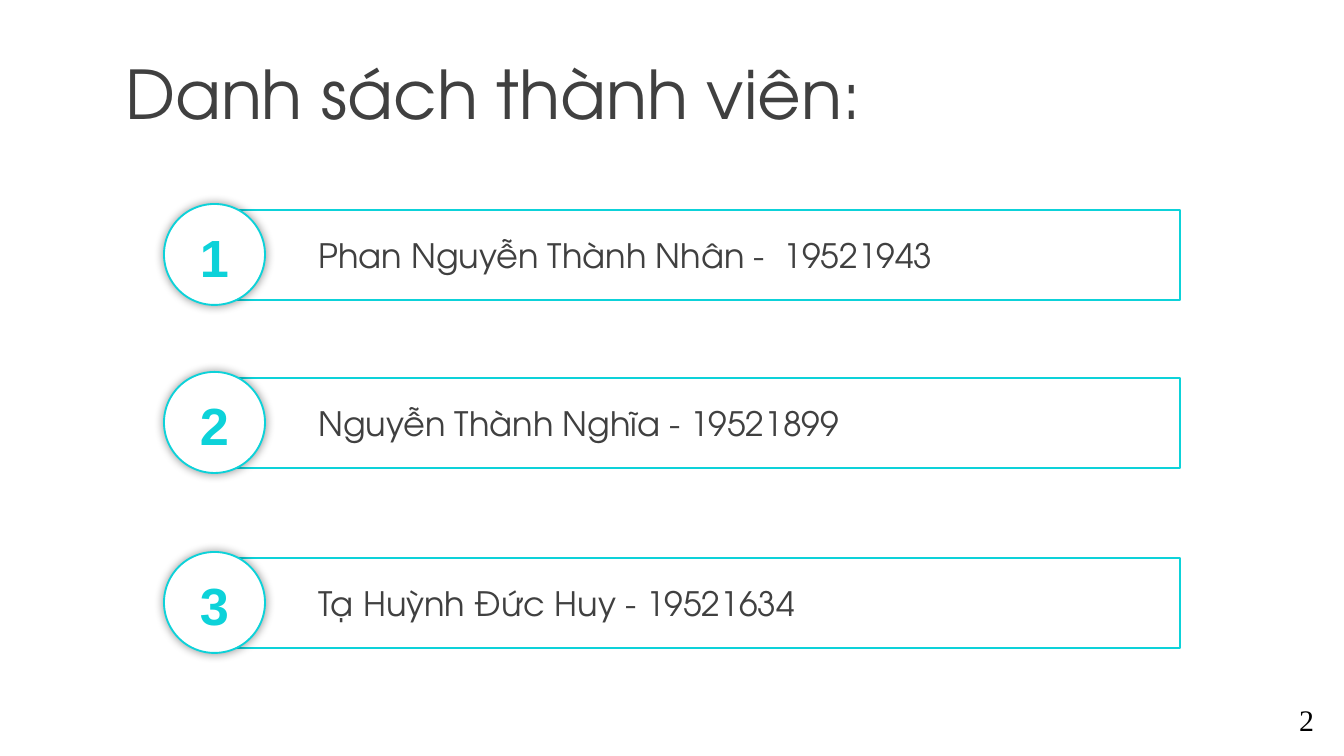
from dataclasses import dataclass

from lxml.etree import SubElement
from pptx import Presentation
from pptx.dml.color import RGBColor
from pptx.enum.shapes import MSO_SHAPE
from pptx.enum.text import MSO_ANCHOR, MSO_AUTO_SIZE, PP_ALIGN
from pptx.oxml.ns import qn
from pptx.shapes.autoshape import Shape
from pptx.slide import Slide
from pptx.util import Emu, Pt

EMU_PER_PIXEL = 914400 / 134.4
COLORS = {"accent": "0DD2D9", "body": "404040", "paper": "FFFFFF", "black": "000000"}
HEADING_FONT = "TeX Gyre Adventor"


@dataclass(frozen=True)
class Box:
    """A rectangle in pixels."""
    left: int
    top: int
    width: int
    height: int

    def emu(self) -> tuple[Emu, ...]:
        """Return left, top, width and height in EMU."""
        return tuple(px(v) for v in (self.left, self.top, self.width, self.height))


@dataclass(frozen=True)
class TextStyle:
    """The look of one piece of text."""
    font: str
    size: int
    color: str
    bold: bool = False
    align: PP_ALIGN = PP_ALIGN.LEFT
    anchor: MSO_ANCHOR = MSO_ANCHOR.MIDDLE
    wrap: bool = True


@dataclass(frozen=True)
class Member:
    """One team member and the top of the matching bar."""
    label: str
    top: int


TITLE = TextStyle(HEADING_FONT, 36, "body")
NAME = TextStyle(HEADING_FONT, 18, "body")
NUMBER = TextStyle("Arial", 28, "accent", bold=True, align=PP_ALIGN.CENTER)
PAGE = TextStyle("Times New Roman", 16, "black", anchor=MSO_ANCHOR.TOP, wrap=False)

MEMBERS = [
    Member("Phan Nguyễn Thành Nhân -  19521943", 210),
    Member("Nguyễn Thành Nghĩa - 19521899", 378),
    Member("Tạ Huỳnh Đức Huy - 19521634", 558),
]


def px(pixels: int) -> Emu:
    """Turn pixels into EMU."""
    return Emu(round(pixels * EMU_PER_PIXEL))


def rgb(name: str) -> RGBColor:
    """Look up a named colour."""
    return RGBColor.from_string(COLORS[name])


def add_text(slide: Slide, box: Box, text: str, style: TextStyle) -> None:
    """Add a text box holding one styled line."""
    frame = slide.shapes.add_textbox(*box.emu()).text_frame
    frame.word_wrap = style.wrap
    frame.auto_size = MSO_AUTO_SIZE.NONE
    frame.vertical_anchor = style.anchor
    frame.text = text
    line = frame.paragraphs[0]
    line.alignment = style.align
    font = line.runs[0].font
    font.name, font.size, font.bold = style.font, Pt(style.size), style.bold
    font.color.rgb = rgb(style.color)


def add_outline(slide: Slide, kind: MSO_SHAPE, box: Box) -> Shape:
    """Add an unfilled shape with a thin accent outline."""
    shape = slide.shapes.add_shape(kind, *box.emu())
    shape.shadow.inherit = False
    shape.fill.background()
    shape.line.color.rgb = rgb("accent")
    shape.line.width = Pt(1)
    return shape


def add_glow_shadow(shape: Shape) -> None:
    """Give a shape a soft shadow on all sides."""
    effects = shape.element.spPr.find(qn("a:effectLst"))
    shadow = SubElement(effects, qn("a:outerShdw"), blurRad=str(Pt(5)), dist="0",
                        dir="0", algn="ctr", rotWithShape="0")
    color = SubElement(shadow, qn("a:srgbClr"), val=COLORS["black"])
    SubElement(color, qn("a:alpha"), val="40000")


def add_member(slide: Slide, number: int, member: Member) -> None:
    """Draw a member's bar, name and numbered circle."""
    top = member.top
    add_outline(slide, MSO_SHAPE.RECTANGLE, Box(214, top, 966, 90))
    add_text(slide, Box(305, top + 18, 844, 54), member.label, NAME)
    circle = add_outline(slide, MSO_SHAPE.OVAL, Box(164, top - 6, 101, 101))
    circle.fill.solid()
    circle.fill.fore_color.rgb = rgb("paper")
    add_glow_shadow(circle)
    add_text(slide, Box(183, top + 8, 63, 77), str(number), NUMBER)


def main() -> None:
    """Build the member list slide."""
    deck = Presentation()
    deck.slide_width, deck.slide_height = px(1344), px(756)
    slide = deck.slides.add_slide(deck.slide_layouts[6])
    add_text(slide, Box(112, 50, 1232, 85), "Danh sách thành viên:", TITLE)
    for number, member in enumerate(MEMBERS, start=1):
        add_member(slide, number, member)
    add_text(slide, Box(1286, 695, 42, 50), "2", PAGE)
    deck.save("out.pptx")


main()
